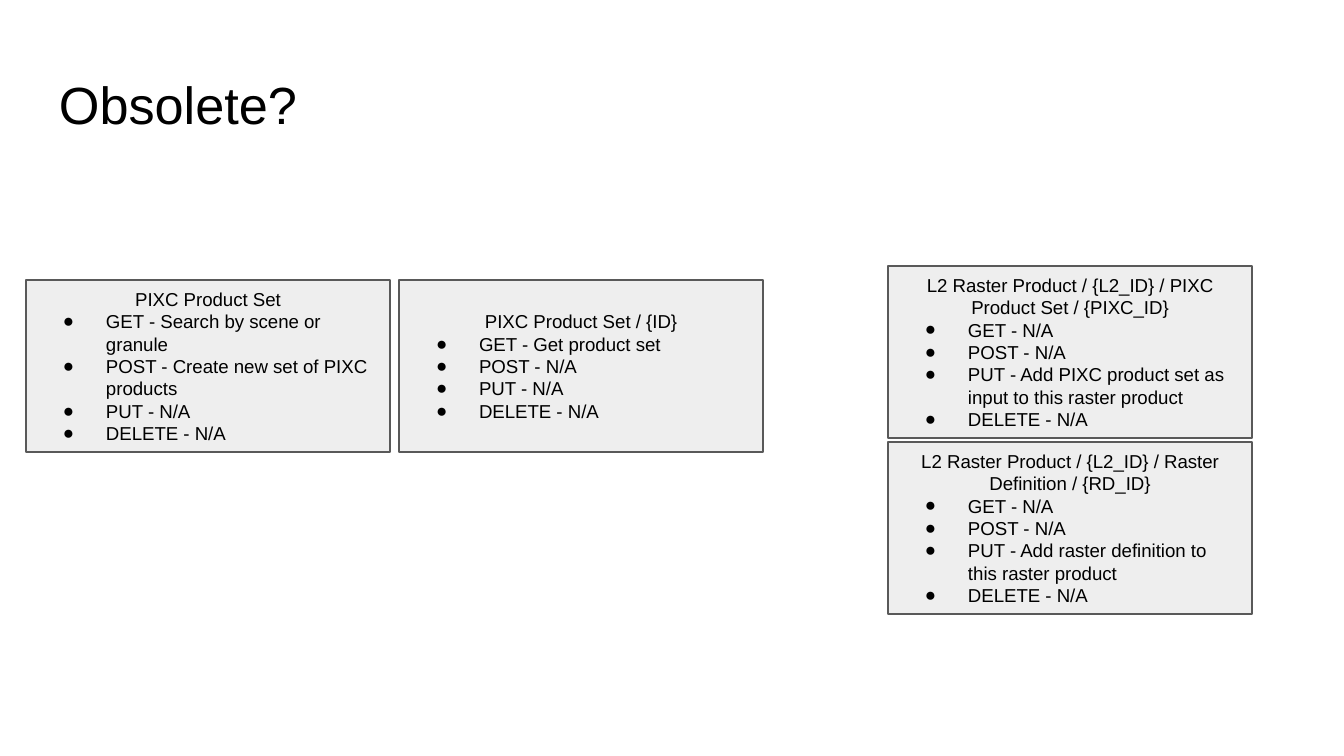
from lxml import etree
from pptx import Presentation
from pptx.dml.color import RGBColor
from pptx.enum.shapes import MSO_SHAPE
from pptx.enum.text import MSO_ANCHOR, PP_ALIGN
from pptx.oxml.ns import qn
from pptx.util import Emu, Pt

PROCESS = MSO_SHAPE.FLOWCHART_PROCESS
TOP, MIDDLE = MSO_ANCHOR.TOP, MSO_ANCHOR.MIDDLE
LEFT, CENTER = PP_ALIGN.LEFT, PP_ALIGN.CENTER
PX = 914400 / 134.4
BOX_W, BOX_H = 364, 172
INSET = 13
BULLET_INDENT, BULLET_HANG = 67, 43


def px(length):
    return Emu(round(length * PX))


def write_lines(shape, lines, size, anchor, heading_align):
    """Fill a shape with a heading line followed by bulleted lines."""
    frame = shape.text_frame
    frame_format = {"word_wrap": True, "vertical_anchor": anchor}
    for side in ("left", "top", "right", "bottom"):
        frame_format[f"margin_{side}"] = px(INSET)
    for name, value in frame_format.items():
        setattr(frame, name, value)
    for i, line in enumerate(lines):
        paragraph = frame.add_paragraph() if i else frame.paragraphs[0]
        paragraph.alignment = LEFT if i else heading_align
        run = paragraph.add_run()
        run.text = line
        run.font.size = Pt(size)
        run.font.name = "Arial"
        run.font.color.rgb = RGBColor.from_string("000000")
        if i:
            props = paragraph._p.get_or_add_pPr()
            props.set("marL", str(px(BULLET_INDENT)))
            props.set("indent", str(-px(BULLET_HANG)))
            color = etree.SubElement(props, qn("a:buClr"))
            etree.SubElement(color, qn("a:srgbClr"), val="000000")
            etree.SubElement(props, qn("a:buFont"), typeface="Arial")
            etree.SubElement(props, qn("a:buChar"), char="●")


prs = Presentation()
prs.slide_width, prs.slide_height = px(1344), px(756)
slide = prs.slides.add_slide(prs.slide_layouts[6])

title = slide.shapes.add_textbox(px(46), px(66), px(1252), px(84))
write_lines(title, ["Obsolete?"], 28, TOP, LEFT)
title.text_frame.paragraphs[0].line_spacing = 0.9

# Each endpoint: left, top, address, then what GET, POST, PUT and DELETE do
endpoints = [
    (26, 280, "PIXC Product Set",
     ["Search by scene or granule", "Create new set of PIXC products", "N/A", "N/A"]),
    (399, 280, "PIXC Product Set / {ID}",
     ["Get product set", "N/A", "N/A", "N/A"]),
    (888, 266, "L2 Raster Product / {L2_ID} / PIXC Product Set / {PIXC_ID}",
     ["N/A", "N/A", "Add PIXC product set as input to this raster product", "N/A"]),
    (888, 442, "L2 Raster Product / {L2_ID} / Raster Definition / {RD_ID}",
     ["N/A", "N/A", "Add raster definition to this raster product", "N/A"]),
]
for left, top, address, actions in endpoints:
    box = slide.shapes.add_shape(PROCESS, px(left), px(top), px(BOX_W), px(BOX_H))
    box.shadow.inherit = False
    box.fill.solid()
    box.fill.fore_color.rgb = RGBColor.from_string("EEEEEE")
    box.line.color.rgb = RGBColor.from_string("595959")
    box.line.width = Pt(0.75)
    methods = [f"{verb} - {action}"
               for verb, action in zip(("GET", "POST", "PUT", "DELETE"), actions)]
    write_lines(box, [address, *methods], 10, MIDDLE, CENTER)

prs.save("out.pptx")
